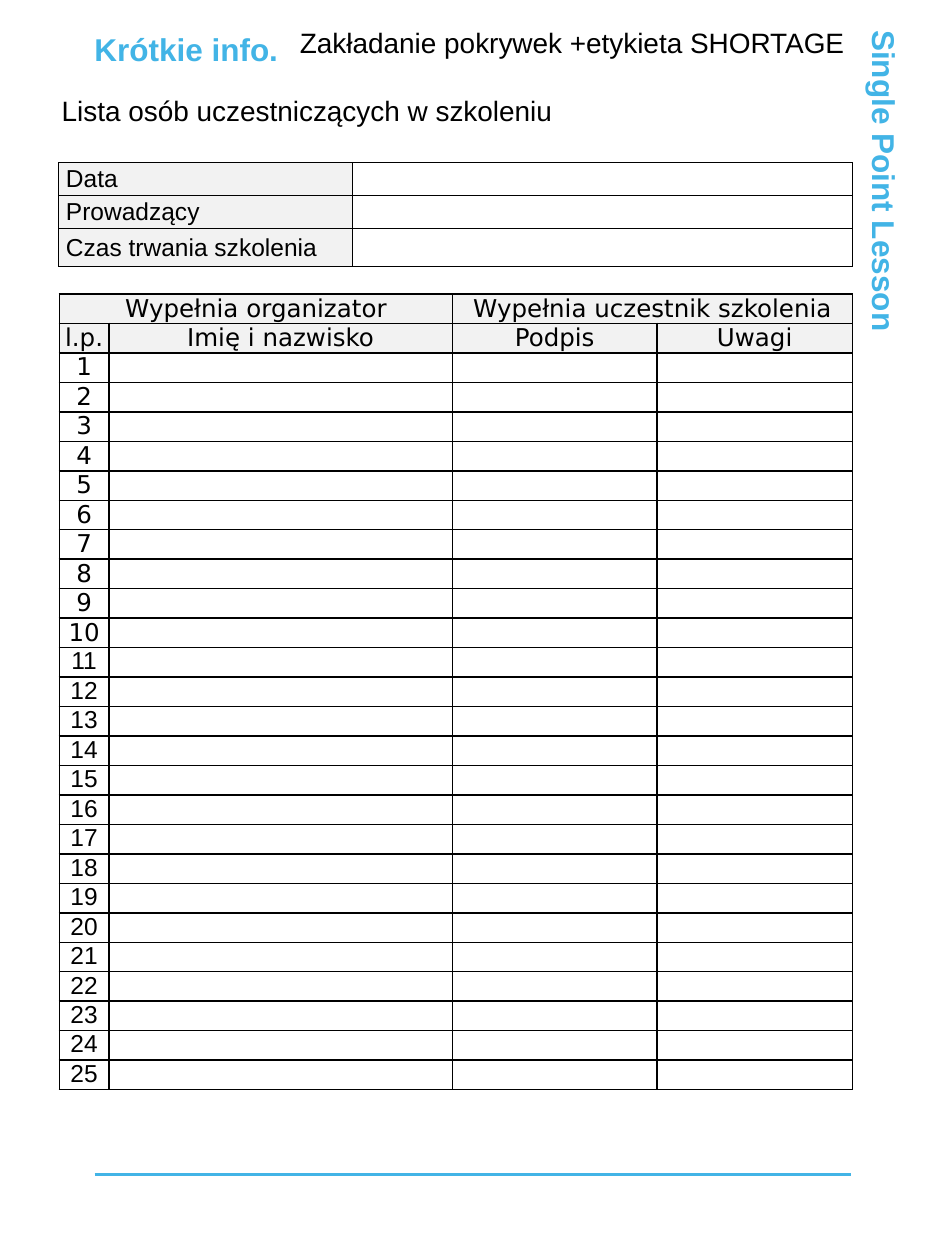
from lxml.etree import SubElement
from pptx import Presentation
from pptx.dml.color import RGBColor
from pptx.enum.shapes import MSO_CONNECTOR, MSO_SHAPE
from pptx.enum.text import MSO_ANCHOR, PP_ALIGN
from pptx.oxml.ns import qn
from pptx.util import Pt

BLUE, BLACK, WHITE, GREY = "42B4E6", "000000", "FFFFFF", "F2F2F2"
ARIAL, DEJAVU = "Arial", "DejaVu Sans"
PARTICIPANTS = 25


def color(hex_value):
    return RGBColor.from_string(hex_value)


def set_font(paragraph, size, name=ARIAL, hex_value=BLACK, bold=False):
    font = paragraph.font
    font.size, font.name, font.bold = Pt(size), name, bold
    font.color.rgb = color(hex_value)


def fill_frame(frame, text, size, hex_value=BLACK, bold=False):
    frame.margin_left = frame.margin_right = 0
    frame.margin_top = frame.margin_bottom = 0
    frame.word_wrap = True
    frame.vertical_anchor = MSO_ANCHOR.TOP
    paragraph = frame.paragraphs[0]
    paragraph.text = text
    paragraph.alignment = PP_ALIGN.LEFT
    set_font(paragraph, size, hex_value=hex_value, bold=bold)


def add_text(slide, box, text, size, hex_value=BLACK, bold=False):
    label = slide.shapes.add_textbox(*map(Pt, box))
    fill_frame(label.text_frame, text, size, hex_value, bold)


def add_side_banner(slide, box, text):
    banner = slide.shapes.add_shape(MSO_SHAPE.RECTANGLE, *map(Pt, box))
    banner.rotation = 90
    banner.shadow.inherit = False
    banner.fill.solid()
    banner.fill.fore_color.rgb = color(WHITE)
    banner.line.fill.background()
    fill_frame(banner.text_frame, text, 18, BLUE, bold=True)


def add_rule(slide, left, right, y):
    rule = slide.shapes.add_connector(
        MSO_CONNECTOR.STRAIGHT, Pt(left), Pt(y), Pt(right), Pt(y))
    rule.line.color.rgb = color(BLUE)
    rule.line.width = Pt(1.5)
    SubElement(rule._element.spPr, qn("a:effectLst"))


def set_borders(cell, width):
    properties = cell._tc.get_or_add_tcPr()
    for side in ("lnL", "lnR", "lnT", "lnB"):
        border = SubElement(properties, qn(f"a:{side}"), w=str(Pt(width)))
        solid = SubElement(border, qn("a:solidFill"))
        SubElement(solid, qn("a:srgbClr"), val=BLACK)


def add_grid(slide, left, top, widths, heights, border, margin):
    table = slide.shapes.add_table(
        len(heights), len(widths), Pt(left), Pt(top),
        Pt(sum(widths)), Pt(sum(heights))).table
    table.first_row = table.horz_banding = False
    for column, width in zip(table.columns, widths):
        column.width = Pt(width)
    for row, height in zip(table.rows, heights):
        row.height = Pt(height)
    for cell in table.iter_cells():
        cell.margin_left = cell.margin_right = Pt(margin)
        cell.margin_top = cell.margin_bottom = 0
        set_borders(cell, border)
        cell.fill.background()
        set_font(cell.text_frame.paragraphs[0], 14)
    return table


def write_cell(cell, text, name=ARIAL, align=PP_ALIGN.CENTER, shaded=False):
    paragraph = cell.text_frame.paragraphs[0]
    paragraph.text = text
    paragraph.alignment = align
    paragraph.font.name = name
    if shaded:
        cell.vertical_anchor = MSO_ANCHOR.MIDDLE
        cell.fill.solid()
        cell.fill.fore_color.rgb = color(GREY)


def add_attendance(slide):
    attendance = add_grid(slide, 34, 168, [28.2, 196.5, 116.7, 111.8],
                          [16.83] * (PARTICIPANTS + 2), border=1, margin=2.9)
    # Group headings, each over two columns
    for column, heading in ((0, "Wypełnia organizator"),
                            (2, "Wypełnia uczestnik szkolenia")):
        group = attendance.cell(0, column)
        group.merge(attendance.cell(0, column + 1))
        write_cell(group, heading, DEJAVU, shaded=True)
    # Column headings
    for column, heading in enumerate(("l.p.", "Imię i nazwisko", "Podpis", "Uwagi")):
        write_cell(attendance.cell(1, column), heading, DEJAVU, shaded=True)
    # Numbered lines to fill in
    for number in range(1, PARTICIPANTS + 1):
        write_cell(attendance.cell(number + 1, 0), str(number),
                   DEJAVU if number <= 10 else ARIAL)


def add_training_details(slide):
    details = add_grid(slide, 33.4, 92.9, [168, 285.5], [18.8, 18.8, 21.9],
                       border=0.5, margin=4.3)
    for row, label in enumerate(("Data", "Prowadzący", "Czas trwania szkolenia")):
        write_cell(details.cell(row, 0), label, align=PP_ALIGN.LEFT, shaded=True)


def main():
    presentation = Presentation()
    presentation.slide_width, presentation.slide_height = Pt(540), Pt(720)
    slide = presentation.slides.add_slide(presentation.slide_layouts[6])

    # Page frame
    add_text(slide, (54, 17.3, 198.7, 21.6), "Krótkie info.", 18, BLUE, bold=True)
    add_side_banner(slide, (296, 216, 419, 21.6), "Single Point Lesson")
    add_rule(slide, 54, 486, 671)

    # Form
    add_attendance(slide)
    add_text(slide, (171.4, 14.4, 326.9, 32.4),
             "Zakładanie pokrywek +etykieta SHORTAGE", 16)
    add_training_details(slide)
    add_text(slide, (35.3, 53.3, 439.2, 26.6),
             "Lista osób uczestniczących w szkoleniu", 16)

    presentation.save("out.pptx")


if __name__ == "__main__":
    main()
